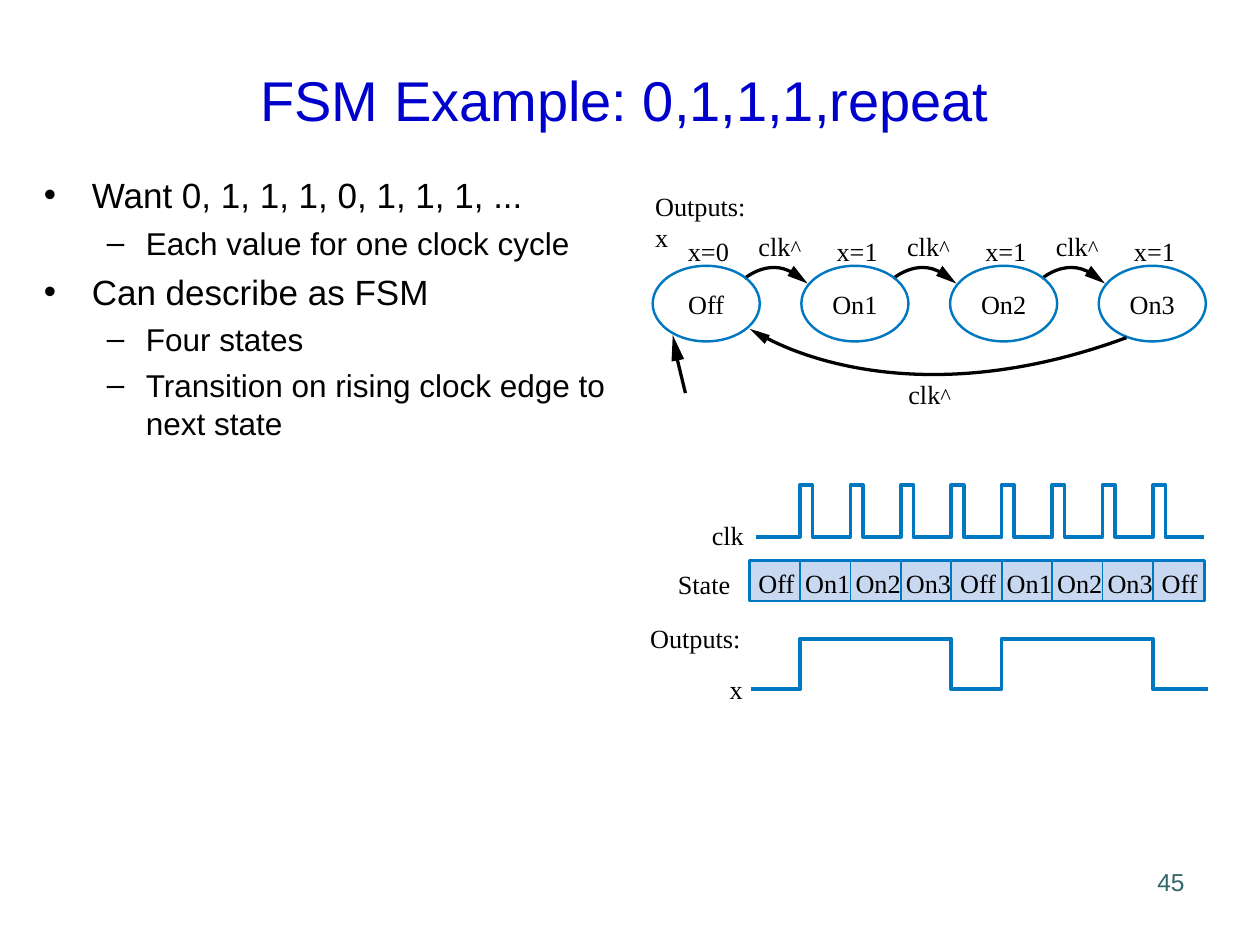
from lxml import etree
from pptx import Presentation
from pptx.dml.color import RGBColor
from pptx.enum import shapes as kinds, text as t
from pptx.oxml.ns import qn
from pptx.util import Inches, Pt

SANS, SERIF = "Arial", "Times New Roman"
BLACK, BLUE, PALE_BLUE = "000000", "0078C1", "C7D8F0"
TITLE_BLUE, TEAL = "0000CC", "336666"

STATES = ["Off", "On1", "On2", "On3"]
STATE_LEFT, STATE_PITCH, STATE_TOP = 5.18, 1.18, 2.11
FIRST_EDGE, PERIOD, PULSE = 6.35, 0.4, 0.1
EDGES = [FIRST_EDGE + PERIOD * i for i in range(8)]

BULLETS = [
    (0, "Want 0, 1, 1, 1, 0, 1, 1, 1, ..."),
    (1, "Each value for one clock cycle"),
    (0, "Can describe as FSM"),
    (1, "Four states"),
    (1, "Transition on rising clock edge to next state"),
]
# per level: size, space before, left margin, hanging indent, bullet
LEVELS = [(20, 5, 0.38, 0.38, "•"), (18, 4.5, 0.81, 0.31, "–")]


def rgb(hex_color):
    return RGBColor.from_string(hex_color)


def add_run(paragraph, words, size, font=SERIF, color=BLACK):
    run = paragraph.add_run()
    run.text = words
    run.font.size = Pt(size)
    run.font.name = font
    run.font.color.rgb = rgb(color)


def clear_insets(frame):
    frame.margin_left = frame.margin_right = 0
    frame.margin_top = frame.margin_bottom = 0
    frame.word_wrap = False


def add_label(shapes, left, top, width, *runs):
    """Each run is a pair of words and size."""
    box = shapes.add_textbox(Inches(left), Inches(top), Inches(width), Inches(0.25))
    clear_insets(box.text_frame)
    box.text_frame.auto_size = t.MSO_AUTO_SIZE.SHAPE_TO_FIT_TEXT
    for words, size in runs:
        add_run(box.text_frame.paragraphs[0], words, size)


def add_clock_label(shapes, left, top):
    add_label(shapes, left, top, 0.34, ("clk", 15), ("^", 13))


def style(shape, line=None, width=1, fill=None):
    shape.shadow.inherit = False
    if fill:
        shape.fill.solid()
        shape.fill.fore_color.rgb = rgb(fill)
    else:
        shape.fill.background()
    if line:
        shape.line.color.rgb = rgb(line)
        shape.line.width = Pt(width)
    else:
        shape.line.fill.background()


def add_outline(shapes, points, closed=False):
    start, *rest = [(Inches(x), Inches(y)) for x, y in points]
    builder = shapes.build_freeform(*start)
    builder.add_line_segments(rest, close=closed)
    return builder.convert_to_shape()


def add_wave(shapes, points):
    style(add_outline(shapes, points), BLUE, 2)


def add_arrowhead(shapes, points):
    style(add_outline(shapes, points, closed=True), fill=BLACK)


def add_arc(shapes, start, control, end):
    """Draw one Bezier curve that leaves start straight towards control."""
    arc = add_outline(shapes, [start, start, control, end])
    style(arc, BLACK, 1.87)
    outline = next(arc._element.iter(qn("a:path")))
    curve = etree.SubElement(outline, qn("a:cubicBezTo"))
    for segment in outline.findall(qn("a:lnTo")):
        curve.append(segment[0])
        outline.remove(segment)


def add_line(shapes, start, end, color, width):
    line = shapes.add_connector(kinds.MSO_CONNECTOR.STRAIGHT,
                                *[Inches(v) for v in (*start, *end)])
    line.line.color.rgb = rgb(color)
    line.line.width = Pt(width)
    etree.SubElement(line._element.spPr, qn("a:effectLst"))


def set_title(slide):
    title = slide.shapes.title
    title.left, title.top = Inches(0.25), Inches(0.33)
    title.width, title.height = Inches(9.42), Inches(0.92)
    title.text_frame.vertical_anchor = t.MSO_ANCHOR.MIDDLE
    paragraph = title.text_frame.paragraphs[0]
    paragraph.alignment = t.PP_ALIGN.CENTER
    add_run(paragraph, "FSM Example: 0,1,1,1,repeat", 32, SANS, TITLE_BLUE)


def add_bullets(slide):
    box = slide.shapes.add_textbox(Inches(0.25), Inches(1.33), Inches(4.75), Inches(5.33))
    frame = box.text_frame
    frame.word_wrap = True
    for i, (level, words) in enumerate(BULLETS):
        paragraph = frame.add_paragraph() if i else frame.paragraphs[0]
        size, before, margin, hanging, mark = LEVELS[level]
        paragraph.level = level
        paragraph.space_before = Pt(before)
        props = paragraph._p.get_or_add_pPr()
        props.set("marL", str(Inches(margin)))
        props.set("indent", str(-Inches(hanging)))
        bullet_color = etree.SubElement(props, qn("a:buClr"))
        etree.SubElement(bullet_color, qn("a:srgbClr"), val=BLACK)
        etree.SubElement(props, qn("a:buFont"), typeface=SANS)
        etree.SubElement(props, qn("a:buChar"), char=mark)
        add_run(paragraph, words, size, SANS)


def add_state(shapes, left, name, output):
    state = shapes.add_shape(kinds.MSO_SHAPE.OVAL, Inches(left), Inches(STATE_TOP),
                             Inches(0.85), Inches(0.6))
    style(state, BLUE, 1.39)
    clear_insets(state.text_frame)
    state.text_frame.vertical_anchor = t.MSO_ANCHOR.MIDDLE
    paragraph = state.text_frame.paragraphs[0]
    paragraph.alignment = t.PP_ALIGN.CENTER
    add_run(paragraph, name, 15)
    add_label(shapes, left + 0.28, 1.87, 0.33, (output, 15))


def add_transition(shapes, left):
    """Connect the state at left with the next one."""
    add_arc(shapes, (left + 0.73, 2.21), (left + 0.95, 2.02), (left + 1.16, 2.2))
    add_arrowhead(shapes, [(left + 1.23, 2.25), (left + 1.12, 2.11), (left + 1.07, 2.19)])
    add_clock_label(shapes, left + 0.84, 1.83)


def add_state_diagram(shapes):
    add_label(shapes, 5.2, 1.51, 0.87, ("Outputs: x", 15))
    for i, name in enumerate(STATES):
        left = STATE_LEFT + STATE_PITCH * i
        if i < len(STATES) - 1:
            add_transition(shapes, left)
        add_state(shapes, left, name, "x=1" if i else "x=0")
    # back to the first state
    add_arc(shapes, (6.01, 2.64), (7.09, 3.36), (8.94, 2.68))
    add_arrowhead(shapes, [(5.95, 2.61), (6.07, 2.73), (6.11, 2.66)])
    add_clock_label(shapes, 7.21, 3)
    # entry into the first state
    add_line(shapes, (5.44, 3.12), (5.37, 2.83), BLACK, 1.87)
    add_arrowhead(shapes, [(5.34, 2.66), (5.33, 2.87), (5.43, 2.85)])


def add_state_row(shapes):
    left, top, height = 5.95, 4.45, 0.32
    row = shapes.add_shape(kinds.MSO_SHAPE.RECTANGLE, Inches(left), Inches(top),
                           Inches(3.61), Inches(height))
    style(row, BLUE, 1.5, PALE_BLUE)
    for edge in EDGES:
        add_line(shapes, (edge, top), (edge, top + height), BLUE, 1)
    for i, cell in enumerate([left, *EDGES]):
        name = STATES[i % len(STATES)]
        gap = 0.07 if name == "Off" else 0.04
        add_label(shapes, cell + gap, 4.5, 0.36, (name, 15))


def add_timing_diagram(shapes):
    add_state_row(shapes)
    low, high = 4.26, 3.85
    clock = [(6, low)]
    for edge in EDGES:
        clock += [(edge, low), (edge, high), (edge + PULSE, high), (edge + PULSE, low)]
    add_wave(shapes, clock + [(9.56, low)])

    low, high = 5.47, 5.07
    output = [(5.96, low)]
    for rise, fall in ((EDGES[0], EDGES[3]), (EDGES[4], EDGES[7])):
        output += [(rise, low), (rise, high), (fall, high), (fall, low)]
    add_wave(shapes, output + [(9.59, low)])

    for words, left, top, width in (("clk", 5.65, 4.12, 0.26), ("State", 5.38, 4.51, 0.42),
                                    ("Outputs:", 5.16, 4.94, 0.72), ("x", 5.79, 5.34, 0.11)):
        add_label(shapes, left, top, width, (words, 15))


def add_page_number(slide):
    box = slide.shapes.add_textbox(Inches(7.42), Inches(6.83), Inches(2.08), Inches(0.5))
    box.text_frame.word_wrap = True
    paragraph = box.text_frame.paragraphs[0]
    paragraph.alignment = t.PP_ALIGN.RIGHT
    paragraph.space_before = Pt(8.8)
    add_run(paragraph, "45", 14, SANS, TEAL)


def main():
    deck = Presentation()
    deck.slide_width, deck.slide_height = Inches(10), Inches(7.5)
    slide = deck.slides.add_slide(deck.slide_layouts[5])
    set_title(slide)
    add_bullets(slide)
    add_timing_diagram(slide.shapes.add_group_shape().shapes)
    add_state_diagram(slide.shapes.add_group_shape().shapes)
    add_page_number(slide)
    deck.save("out.pptx")


if __name__ == "__main__":
    main()
